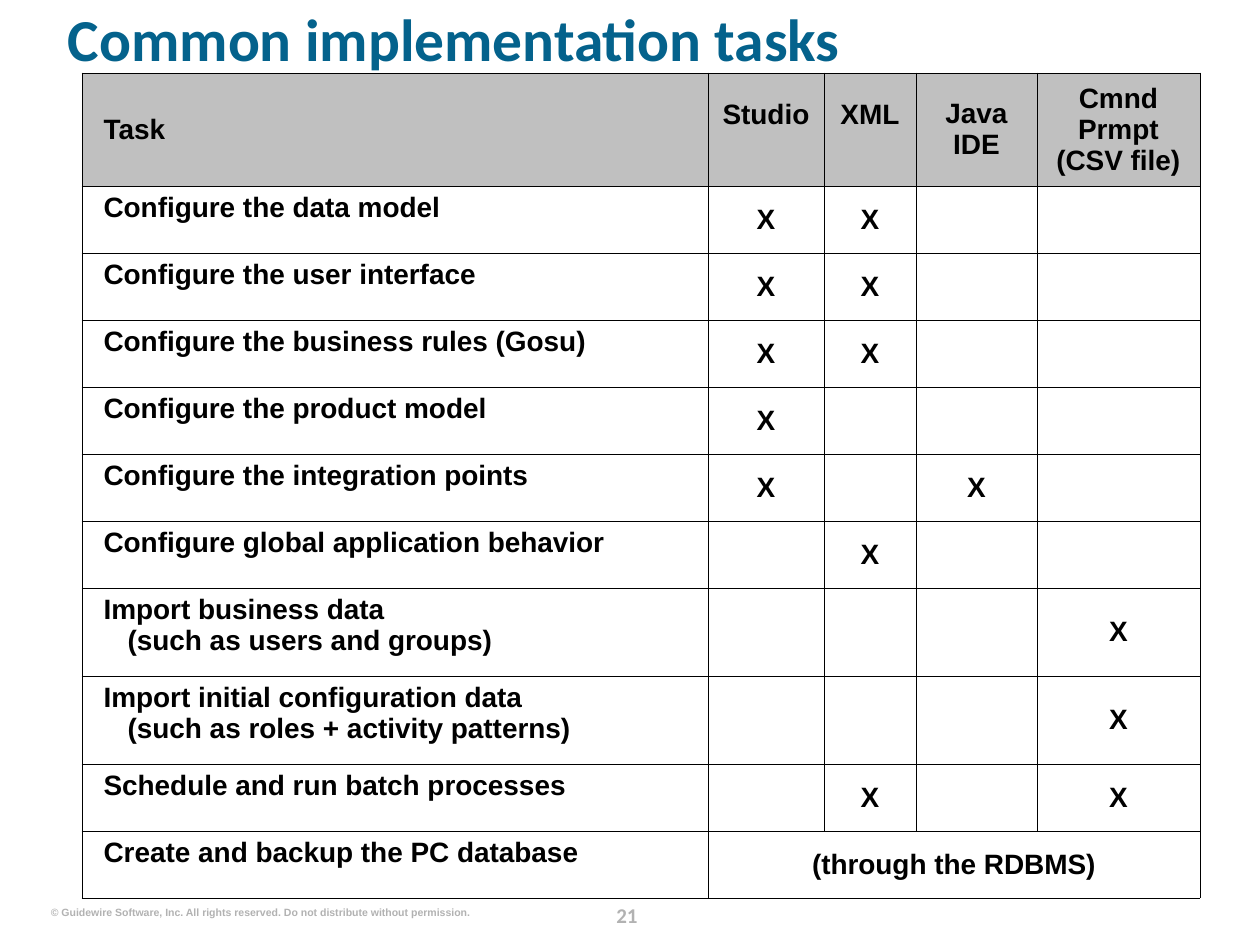
from dataclasses import dataclass
from lxml.etree import SubElement
from pptx import Presentation
from pptx.dml.color import RGBColor
from pptx.enum.text import MSO_ANCHOR, PP_ALIGN
from pptx.oxml.ns import qn
from pptx.slide import Slide
from pptx.util import Pt

SCALE = 914400 // 126
HEADS = ["Task", "Studio", "XML", "Java\nIDE", "Cmnd Prmpt\n(CSV file)"]
TASKS = [
    ("Configure the data model", "XX--"),
    ("Configure the user interface", "XX--"),
    ("Configure the business rules (Gosu)", "XX--"),
    ("Configure the product model", "X---"),
    ("Configure the integration points", "X-X-"),
    ("Configure global application behavior", "-X--"),
    ("Import business data\n(such as users and groups)", "---X"),
    ("Import initial configuration data\n(such as roles + activity patterns)", "---X"),
    ("Schedule and run batch processes", "-X-X"),
    ("Create and backup the PC database", "----"),
]
WIDTHS = [626, 116, 92, 121, 163]


def px(n):
    """Turn pixels into EMU."""
    return n * SCALE


def tint(code):
    """Turn a hex string into a colour."""
    return RGBColor.from_string(code)


@dataclass
class Deck:
    """Holds the style and the current slide."""
    slide: Slide
    face: str = "Arial"
    ink: str = "000000"
    size: int = 16

    def fill_in(self, para, text, size=None, face=None, ink=None):
        """Add bold text to a paragraph, one run per line."""
        for i, line in enumerate(text.split("\n")):
            if i:
                para.add_line_break()
            run = para.add_run()
            run.text = line
            font = run.font
            font.size = Pt(size or self.size)
            font.name = face or self.face
            font.bold = True
            font.color.rgb = tint(ink or self.ink)

    def label(self, box, text, size, ink, face=None, align=PP_ALIGN.LEFT, pitch=None, wrap=True):
        """Add a text box without insets."""
        frame = self.slide.shapes.add_textbox(*map(px, box)).text_frame
        frame.margin_left = frame.margin_right = 0
        frame.margin_top = frame.margin_bottom = 0
        frame.word_wrap = wrap
        para = frame.paragraphs[0]
        para.alignment = align
        para.line_spacing = pitch
        self.fill_in(para, text, size, face, ink)

    def grid(self, left, top, widths, heights):
        """Add a plain table with the given tracks."""
        table = self.slide.shapes.add_table(
            len(heights), len(widths), px(left), px(top),
            px(sum(widths)), px(sum(heights))).table
        table.first_row = table.horz_banding = False
        for col, width in zip(table.columns, widths):
            col.width = px(width)
        for row, height in zip(table.rows, heights):
            row.height = px(height)
        return table

    def cell(self, cell, text, fill, task=False, middle=True):
        """Border, fill and letter one table cell."""
        props = cell._tc.get_or_add_tcPr()
        for side in "LRTB":
            line = SubElement(props, qn(f"a:ln{side}"), w=str(Pt(0.45)))
            solid = SubElement(line, qn("a:solidFill"))
            SubElement(solid, qn("a:srgbClr"), val=self.ink)
        cell.fill.solid()
        cell.fill.fore_color.rgb = tint(fill)
        cell.vertical_anchor = MSO_ANCHOR.MIDDLE if middle else MSO_ANCHOR.TOP
        para = cell.text_frame.paragraphs[0]
        if task:
            hang = para._p.get_or_add_pPr()
            hang.set("marL", str(px(33)))
            hang.set("indent", str(px(-24)))
        else:
            para.alignment = PP_ALIGN.CENTER
        if text:
            self.fill_in(para, text)


def main():
    """Build the slide."""
    show = Presentation()
    show.slide_width, show.slide_height = px(1260), px(945)
    deck = Deck(show.slides.add_slide(show.slide_layouts[6]))
    deck.label((591, 896, 72, 32), "21", 12, "B2B2B2", "Calibri", PP_ALIGN.CENTER, Pt(18))
    deck.label((50, 906, 420, 13),
               "© Guidewire Software, Inc. All rights reserved. Do not distribute without permission.",
               6, "B2B2B2", align=PP_ALIGN.RIGHT, wrap=False)
    deck.label((68, 16, 1147, 102), "Common implementation tasks", 34, "04628C", "Calibri", pitch=0.8)

    heights = [106] + [88 if "\n" in task else 67 for task, _ in TASKS]
    table = deck.grid(82, 73, WIDTHS, heights)
    for c, head in enumerate(HEADS):
        deck.cell(table.cell(0, c), head, "C0C0C0", task=c == 0)
    for c in (1, 2):
        table.cell(0, c).margin_bottom = px(37)
    last = len(TASKS)
    table.cell(last, 1).merge(table.cell(last, 4))
    for r, (task, marks) in enumerate(TASKS, 1):
        deck.cell(table.cell(r, 0), task, "FFFFFF", task=True, middle=False)
        for c, mark in enumerate(marks, 1):
            text = "(through the RDBMS)" if (r, c) == (last, 1) else mark.strip("-")
            deck.cell(table.cell(r, c), text, "FFFFFF")
    show.save("out.pptx")


if __name__ == "__main__":
    main()
